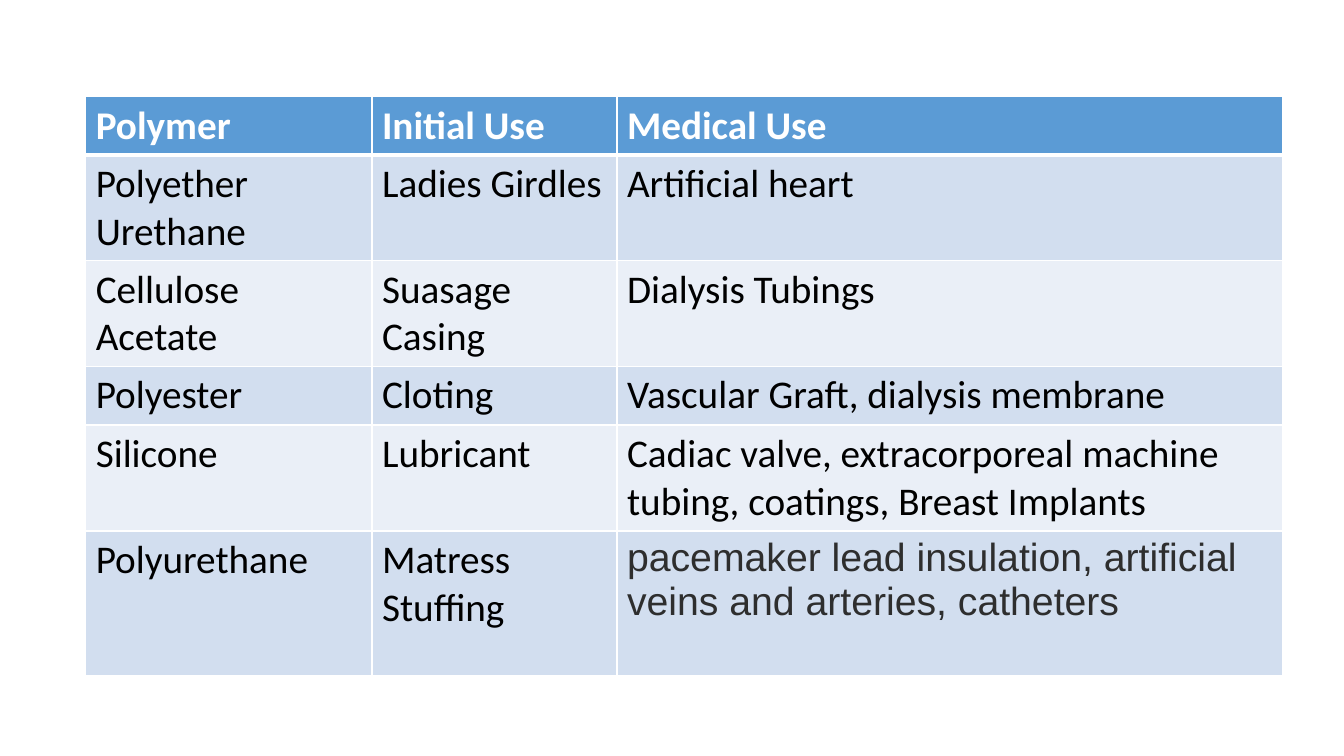
from lxml.etree import SubElement
from pptx import Presentation
from pptx.dml.color import RGBColor
from pptx.oxml.ns import qn
from pptx.util import Inches, Pt

WHITE = RGBColor(0xFF, 0xFF, 0xFF)
BLACK = RGBColor(0x00, 0x00, 0x00)
CHARCOAL = RGBColor(0x2E, 0x2E, 0x2E)
HEADER_BLUE = RGBColor(0x5B, 0x9B, 0xD5)
BAND_DARK = RGBColor(0xD2, 0xDE, 0xEF)
BAND_LIGHT = RGBColor(0xEA, 0xEF, 0xF7)

COLUMN_WIDTHS = [2.84, 2.43, 6.6]
ROW_HEIGHTS = [0.57, 1.05, 1.05, 0.58, 1.05, 1.43]
POLYMER_USES = [
    ("Polymer", "Initial Use", "Medical Use"),
    ("Polyether Urethane", "Ladies Girdles", "Artificial heart"),
    ("Cellulose Acetate", "Suasage Casing", "Dialysis Tubings"),
    ("Polyester", "Cloting", "Vascular Graft, dialysis membrane"),
    ("Silicone", "Lubricant",
     "Cadiac valve, extracorporeal machine tubing, coatings, Breast Implants"),
    ("Polyurethane", "Matress Stuffing",
     "pacemaker lead insulation, artificial veins and arteries, catheters"),
]


def set_borders(cell, **widths):
    """Draw a white border on each named side, with widths in points."""
    properties = cell._tc.get_or_add_tcPr()
    for side, width in widths.items():
        line = SubElement(properties, qn(f"a:ln{side}"), w=str(Pt(width)))
        fill = SubElement(line, qn("a:solidFill"))
        SubElement(fill, qn("a:srgbClr"), val=str(WHITE))


def style_cell(cell, text, fill, color, bold=False, name="Calibri"):
    """Fill a cell and set its text and font."""
    cell.fill.solid()
    cell.fill.fore_color.rgb = fill
    cell.text = text
    font = cell.text_frame.paragraphs[0].font
    font.name, font.size, font.bold = name, Pt(28), bold
    font.color.rgb = color


def add_polymer_table(page):
    """Add the table of polymers with their initial and medical uses."""
    frame = page.shapes.add_table(
        len(ROW_HEIGHTS), len(COLUMN_WIDTHS), Inches(0.85), Inches(0.96),
        Inches(sum(COLUMN_WIDTHS)), Inches(sum(ROW_HEIGHTS)))
    table = frame.table
    for column, width in zip(table.columns, COLUMN_WIDTHS):
        column.width = Inches(width)
    for index, (row, height) in enumerate(zip(table.rows, ROW_HEIGHTS)):
        row.height = Inches(height)
        band = BAND_DARK if index % 2 else BAND_LIGHT
        for cell, text in zip(row.cells, POLYMER_USES[index]):
            set_borders(cell, L=1, R=1, T=3 if index == 1 else 1,
                        B=3 if index == 0 else 1)
            if index == 0:
                style_cell(cell, text, HEADER_BLUE, WHITE, bold=True)
            else:
                style_cell(cell, text, band, BLACK)
    last_font = table.cell(5, 2).text_frame.paragraphs[0].font
    last_font.name = "Arial"
    last_font.color.rgb = CHARCOAL


def main():
    """Build the slide and save the deck."""
    deck = Presentation()
    deck.slide_width, deck.slide_height = Inches(13.33), Inches(7.5)
    page = deck.slides.add_slide(deck.slide_layouts[6])
    add_polymer_table(page)
    deck.save("out.pptx")


if __name__ == "__main__":
    main()
